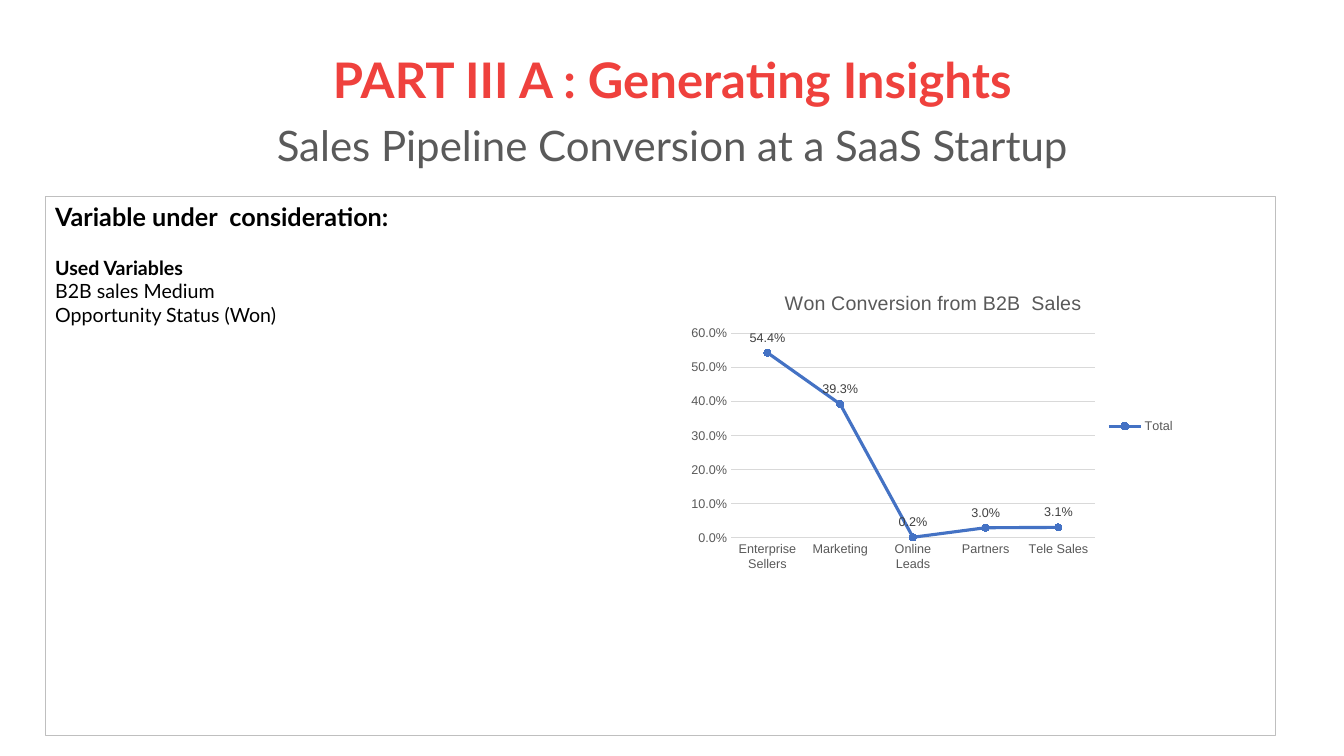
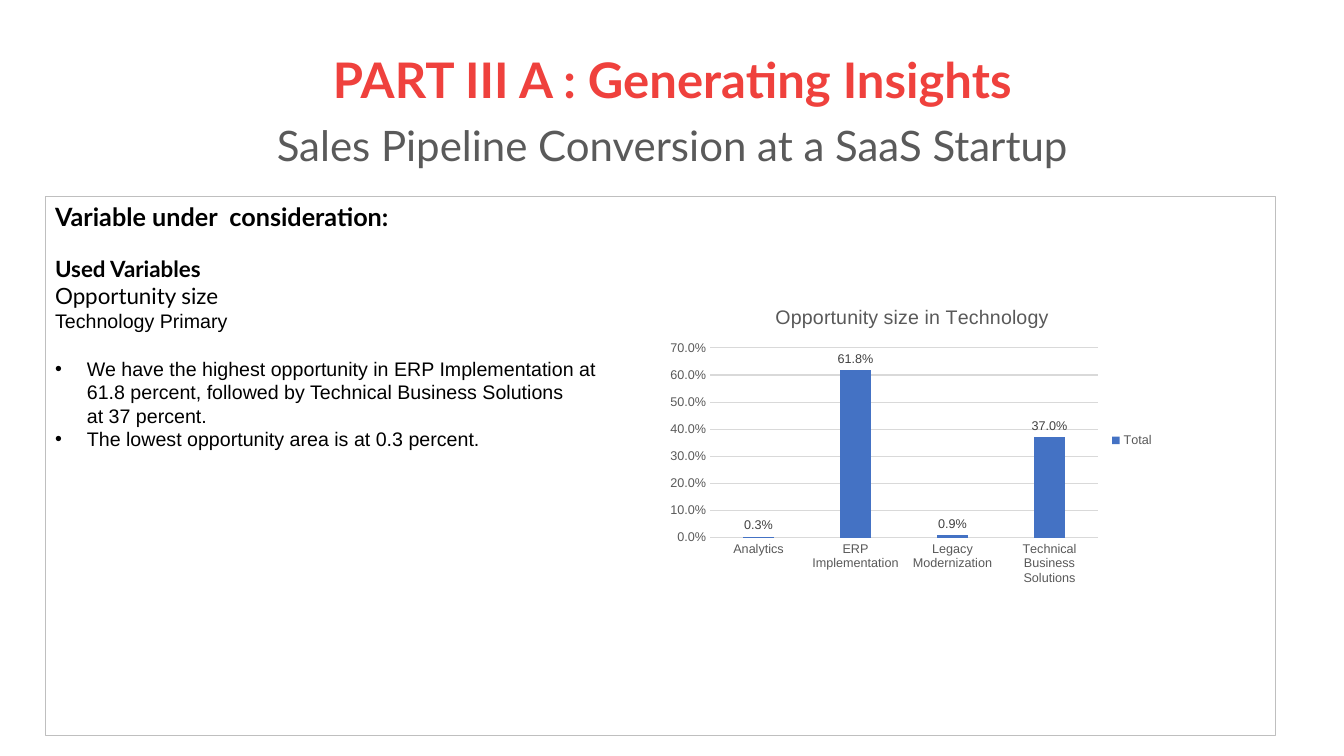
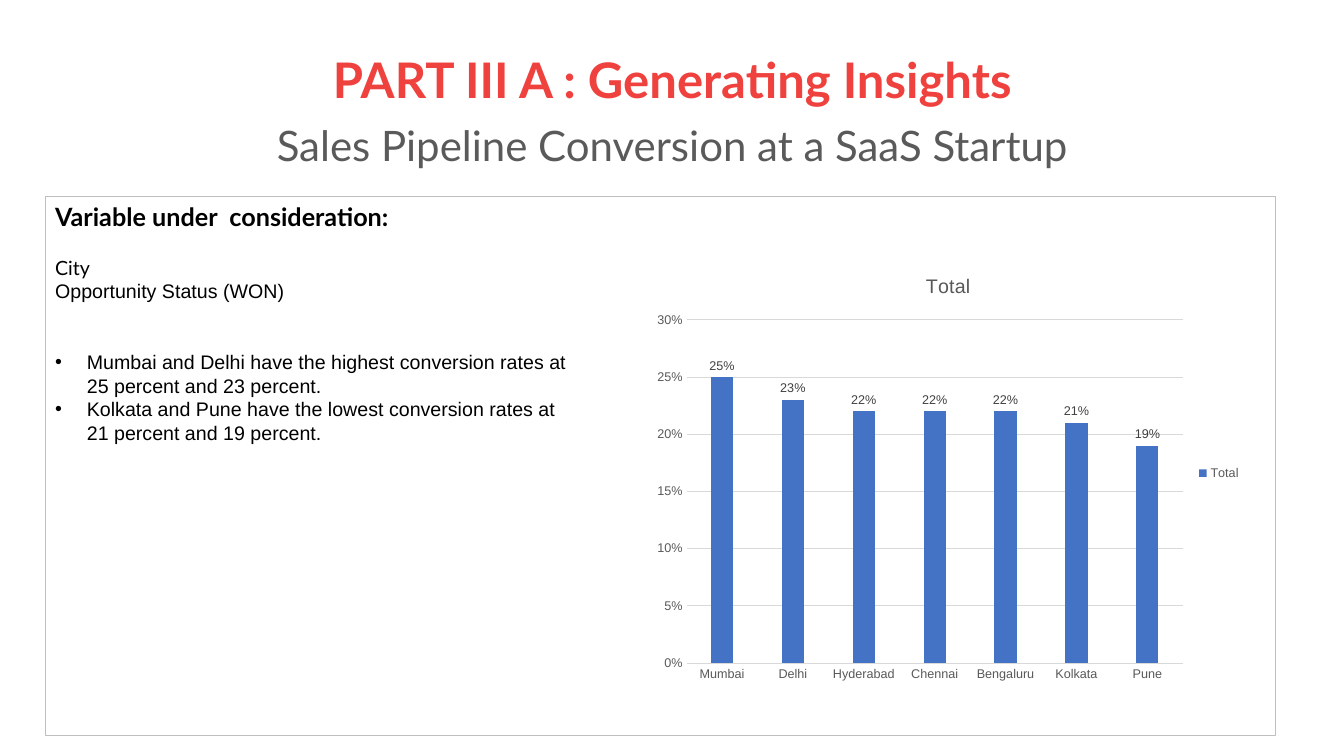
import lxml.etree
import pptx
import pptx.chart.data
import pptx.dml.color
import pptx.enum.chart
import pptx.enum.shapes
import pptx.enum.text
import pptx.oxml.ns
import pptx.util

Cm, Pt = pptx.util.Cm, pptx.util.Pt
XL = pptx.enum.chart

RED, GREY, BLACK, BLUE = "EF413D", "5A5A5A", "000000", "4472C4"
FRAME_LINE, GRID, AXIS_TEXT, LABEL_TEXT = "BFBFBF", "D9D9D9", "595959", "404040"
HEAD_FONT, BODY_FONT = "Lato", "Arial"
GAP = 17  # points between the groups of text
HANG = Cm(0.8)

# text, size, colour, bold, space before
TITLE = [
    ("PART III A : Generating Insights", 35, RED, True, 0),
    ("Sales Pipeline Conversion at a SaaS Startup", 30, GREY, False, 11),
]
HEADING = {"lines": ["Variable under  consideration:"], "size": 18, "bold": True}

SLIDES = [
    {
        "body": [
            {"lines": ["Used Variables"], "bold": True, "gap": GAP},
            {"lines": ["B2B sales Medium"]},
            {"lines": ["Opportunity Status (Won)"]},
        ],
        "chart": {
            "kind": XL.XL_CHART_TYPE.LINE_MARKERS,
            "at": (17.17, 6.93, 12.7, 7.62),
            "title": "Won Conversion from B2B  Sales",
            "format": "0.0%", "top": 0.6, "step": 0.1,
            "data": {"Enterprise Sellers": 0.544, "Marketing": 0.393,
                     "Online Leads": 0.002, "Partners": 0.03, "Tele Sales": 0.031},
        },
    },
    {
        "body": [
            {"lines": ["Used Variables"], "size": 16, "bold": True, "gap": GAP},
            {"lines": ["Opportunity size"], "size": 16},
            {"lines": ["Technology Primary"], "font": BODY_FONT},
            {"lines": ["We have the highest opportunity in ERP Implementation at",
                       "61.8 percent, followed by Technical Business Solutions",
                       "at 37 percent."],
             "font": BODY_FONT, "gap": GAP, "bullet": True},
            {"lines": ["The lowest opportunity area is at 0.3 percent."],
             "font": BODY_FONT, "bullet": True},
        ],
        "chart": {
            "kind": XL.XL_CHART_TYPE.COLUMN_CLUSTERED,
            "at": (16.64, 7.29, 12.7, 7.62),
            "title": "Opportunity size in Technology",
            "format": "0.0%", "top": 0.7, "step": 0.1,
            "data": {"Analytics": 0.003, "ERP Implementation": 0.618,
                     "Legacy Modernization": 0.009,
                     "Technical Business Solutions": 0.37},
        },
    },
    {
        "body": [
            {"lines": ["City"], "gap": GAP},
            {"lines": ["Opportunity Status (WON)"], "font": BODY_FONT},
            {"lines": ["Mumbai and Delhi have the highest conversion rates at",
                       "25 percent and 23 percent."],
             "font": BODY_FONT, "gap": 2 * GAP, "bullet": True},
            {"lines": ["Kolkata and Pune have the lowest conversion rates at",
                       "21 percent and 19 percent."],
             "font": BODY_FONT, "bullet": True},
        ],
        "chart": {
            "kind": XL.XL_CHART_TYPE.COLUMN_CLUSTERED,
            "at": (16.26, 6.45, 15.27, 10.95),
            "title": "Total",
            "format": "0%", "top": 0.3, "step": 0.05,
            "data": {"Mumbai": 0.25, "Delhi": 0.23, "Hyderabad": 0.22,
                     "Chennai": 0.22, "Bengaluru": 0.22, "Kolkata": 0.21,
                     "Pune": 0.19},
        },
    },
]


def rgb(value):
    return pptx.dml.color.RGBColor.from_string(value)


def place(*lengths):
    return [Cm(length) for length in lengths]


def set_font(font, size, color, name=BODY_FONT, bold=False):
    font.size, font.name, font.bold = Pt(size), name, bold
    font.color.rgb = rgb(color)


def set_line(line, color, width=0.75):
    line.color.rgb = rgb(color)
    line.width = Pt(width)


def set_fill(fill, color):
    fill.solid()
    fill.fore_color.rgb = rgb(color)


def next_paragraph(tf):
    """Return the first paragraph while it is unused, then new ones."""
    return tf.add_paragraph() if tf.paragraphs[0].runs else tf.paragraphs[0]


def add_bullet(p):
    """Give the paragraph a round bullet with a hanging indent."""
    pPr = p._p.get_or_add_pPr()
    pPr.set("marL", str(HANG))
    pPr.set("indent", str(-HANG))
    qn = pptx.oxml.ns.qn
    lxml.etree.SubElement(pPr, qn("a:buFont"), typeface=BODY_FONT)
    lxml.etree.SubElement(pPr, qn("a:buChar"), char="•")


def add_title(s):
    tf = s.shapes.add_textbox(*place(2.34, 1.02, 29.21, 3.68)).text_frame
    tf.word_wrap = True
    tf.vertical_anchor = pptx.enum.text.MSO_ANCHOR.MIDDLE
    for text, size, color, bold, gap in TITLE:
        p = next_paragraph(tf)
        p.alignment = pptx.enum.text.PP_ALIGN.CENTER
        p.line_spacing = 0.9
        p.space_before = Pt(gap)
        r = p.add_run()
        r.text = text
        set_font(r.font, size, color, HEAD_FONT, bold)


def add_body(s, items):
    sp = s.shapes.add_shape(pptx.enum.shapes.MSO_SHAPE.RECTANGLE,
                            *place(1.14, 4.95, 31.01, 13.59))
    sp.shadow.inherit = False
    sp.fill.background()
    set_line(sp.line, FRAME_LINE)
    tf = sp.text_frame
    tf.word_wrap = True
    tf.vertical_anchor = pptx.enum.text.MSO_ANCHOR.TOP
    for item in [HEADING] + items:
        size = item.get("size", 14)
        p = next_paragraph(tf)
        p.alignment = pptx.enum.text.PP_ALIGN.LEFT
        p.line_spacing = Pt(1.2 * size)
        p.space_before = Pt(item.get("gap", 0))
        if item.get("bullet"):
            add_bullet(p)
        for i, text in enumerate(item["lines"]):
            if i:
                p.add_line_break()
            r = p.add_run()
            r.text = text
            set_font(r.font, size, BLACK, item.get("font", HEAD_FONT),
                     item.get("bold", False))


def style_axes(chart, info):
    for axis in (chart.category_axis, chart.value_axis):
        axis.major_tick_mark = axis.minor_tick_mark = XL.XL_TICK_MARK.NONE
        set_font(axis.tick_labels.font, 9, AXIS_TEXT)
    chart.category_axis.has_major_gridlines = False
    set_line(chart.category_axis.format.line, GRID)
    values = chart.value_axis
    values.minimum_scale, values.maximum_scale = 0, info["top"]
    values.major_unit = info["step"]
    values.format.line.fill.background()
    values.has_major_gridlines = True
    set_line(values.major_gridlines.format.line, GRID)
    values.tick_labels.number_format = info["format"]
    values.tick_labels.number_format_is_linked = False


def style_series(plot, info):
    plot.vary_by_categories = False
    series = plot.series[0]
    labels = series.data_labels
    labels.show_value = True
    labels.number_format = info["format"]
    labels.number_format_is_linked = False
    set_font(labels.font, 9, LABEL_TEXT)
    if info["kind"] == XL.XL_CHART_TYPE.LINE_MARKERS:
        labels.position = XL.XL_LABEL_POSITION.ABOVE
        series.smooth = False
        set_line(series.format.line, BLUE, 2.25)
        series.marker.style = XL.XL_MARKER_STYLE.CIRCLE
        series.marker.size = 5
        set_fill(series.marker.format.fill, BLUE)
        set_line(series.marker.format.line, BLUE)
    else:
        labels.position = XL.XL_LABEL_POSITION.OUTSIDE_END
        plot.gap_width, plot.overlap = 219, -27
        set_fill(series.format.fill, BLUE)


def add_chart(s, info):
    data = pptx.chart.data.CategoryChartData(number_format=info["format"])
    data.categories = list(info["data"])
    data.add_series("Total", list(info["data"].values()))
    chart = s.shapes.add_chart(info["kind"], *place(*info["at"]), data).chart
    set_font(chart.font, 10, BLACK)
    chart.has_title = True
    r = chart.chart_title.text_frame.paragraphs[0].add_run()
    r.text = info["title"]
    set_font(r.font, 14, AXIS_TEXT)
    chart.chart_title.include_in_layout = False
    chart.has_legend = True
    chart.legend.position = XL.XL_LEGEND_POSITION.RIGHT
    chart.legend.include_in_layout = False
    set_font(chart.legend.font, 9, AXIS_TEXT)
    style_axes(chart, info)
    style_series(chart.plots[0], info)


def main():
    prs = pptx.Presentation()
    prs.slide_width, prs.slide_height = place(33.87, 19.05)
    for content in SLIDES:
        s = prs.slides.add_slide(prs.slide_layouts[6])
        add_title(s)
        add_body(s, content["body"])
        add_chart(s, content["chart"])
    prs.save("out.pptx")


if __name__ == "__main__":
    main()
